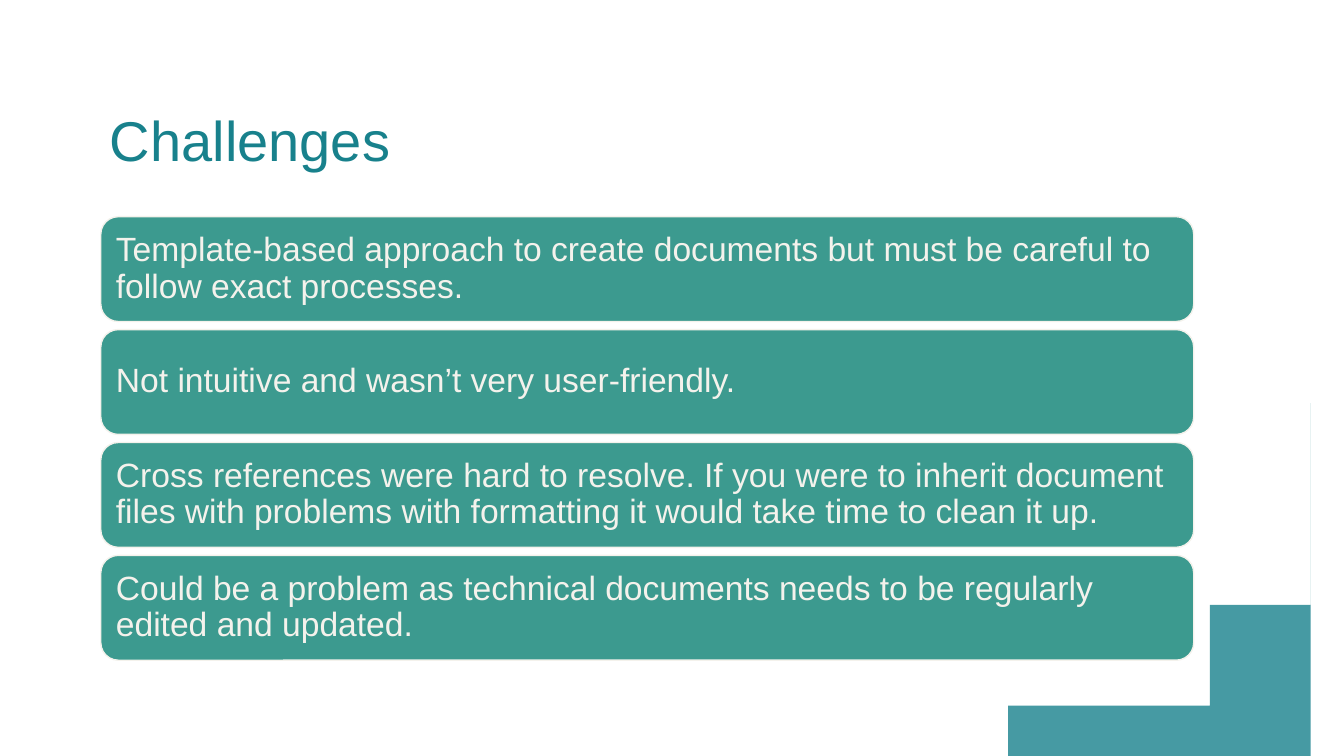
from lxml import etree
from pptx import Presentation
from pptx.dml.color import RGBColor
from pptx.enum.shapes import MSO_SHAPE
from pptx.enum.text import MSO_ANCHOR, MSO_AUTO_SIZE, PP_ALIGN
from pptx.oxml.ns import qn
from pptx.util import Inches, Pt

ROUNDED = MSO_SHAPE.ROUNDED_RECTANGLE
MIDDLE = MSO_ANCHOR.MIDDLE
LEFT = PP_ALIGN.LEFT
NO_AUTOFIT = MSO_AUTO_SIZE.NONE

TEAL = RGBColor(0x18, 0x81, 0x8C)
GREEN = RGBColor(0x3C, 0x9A, 0x8F)
CREAM = RGBColor(0xF4, 0xF2, 0xEC)
FONT = "Arial"

PAGE_WIDTH, PAGE_HEIGHT = 13.33, 7.5
CARD_LEFT, CARD_TOP = 1, 2.15
CARD_WIDTH, CARD_HEIGHT = 10.84, 1.04
ROW_PITCH = 1.12
CARD_INSET = 0.15
CURVE_STEPS = 60

CHALLENGES = [
    "Template-based approach to create documents but must be careful to follow exact processes.",
    "Not intuitive and wasn’t very user-friendly.",
    "Cross references were hard to resolve. If you were to inherit document files "
    "with problems with formatting it would take time to clean it up.",
    "Could be a problem as technical documents needs to be regularly edited and updated.",
]


def write_text(shape, text, size, color, inset=None, line_spacing=None):
    frame = shape.text_frame
    frame.word_wrap = True
    frame.auto_size = NO_AUTOFIT
    frame.vertical_anchor = MIDDLE
    if inset is not None:
        frame.margin_left = frame.margin_right = Inches(inset)
        frame.margin_top = frame.margin_bottom = Inches(inset)
    para = frame.paragraphs[0]
    para.alignment = LEFT
    para.line_spacing = line_spacing
    span = para.add_run()
    span.text = text
    span.font.name = FONT
    span.font.size = Pt(size)
    span.font.color.rgb = color


def curve_points(start, pull_start, pull_end, end):
    """Return points along a cubic curve, both ends included."""
    points = []
    for step in range(CURVE_STEPS + 1):
        t = step / CURVE_STEPS
        weights = ((1 - t) ** 3, 3 * t * (1 - t) ** 2, 3 * t ** 2 * (1 - t), t ** 3)
        corners = (start, pull_start, pull_end, end)
        points.append(tuple(sum(weight * corner[axis] for weight, corner in zip(weights, corners))
                            for axis in (0, 1)))
    return points


def add_corner(page):
    """Fill the lower right corner outside a sweeping curve."""
    start, *rest = curve_points((9.67, PAGE_HEIGHT), (11.58, PAGE_HEIGHT),
                                (13.15, 6.02), (PAGE_WIDTH, 4.08))
    builder = page.shapes.build_freeform(*start, scale=Inches(1))
    builder.add_line_segments(rest + [(PAGE_WIDTH, PAGE_HEIGHT)], close=True)
    corner = builder.convert_to_shape()
    corner.shadow.inherit = False
    corner.line.fill.background()
    corner.fill.solid()
    corner.fill.fore_color.rgb = TEAL
    color = corner.fill._xPr.find(f"{qn('a:solidFill')}/{qn('a:srgbClr')}")
    etree.SubElement(color, qn("a:alpha")).set("val", "80000")


def add_title(page, text):
    title = page.shapes.title
    title.left, title.top = Inches(0.99), Inches(0.65)
    title.width, title.height = Inches(CARD_WIDTH), Inches(1.45)
    write_text(title, text, size=40, color=TEAL)


def add_card(page, row, text):
    card = page.shapes.add_shape(ROUNDED, Inches(CARD_LEFT), Inches(CARD_TOP + row * ROW_PITCH),
                                 Inches(CARD_WIDTH), Inches(CARD_HEIGHT))
    card.shadow.inherit = False
    card.fill.solid()
    card.fill.fore_color.rgb = GREEN
    card.line.color.rgb = CREAM
    card.line.width = Pt(1)
    # A rounded rectangle insets its text by the corner, so part of the margin is built in.
    corner_inset = 0.29 * card.adjustments[0] * CARD_HEIGHT
    write_text(card, text, size=24, color=CREAM, inset=CARD_INSET - corner_inset,
               line_spacing=0.9)


def main():
    deck = Presentation()
    deck.slide_width, deck.slide_height = Inches(PAGE_WIDTH), Inches(PAGE_HEIGHT)
    page = deck.slides.add_slide(deck.slide_layouts[5])
    add_corner(page)
    add_title(page, "Challenges")
    for row, text in enumerate(CHALLENGES):
        add_card(page, row, text)
    deck.save("out.pptx")


if __name__ == "__main__":
    main()
